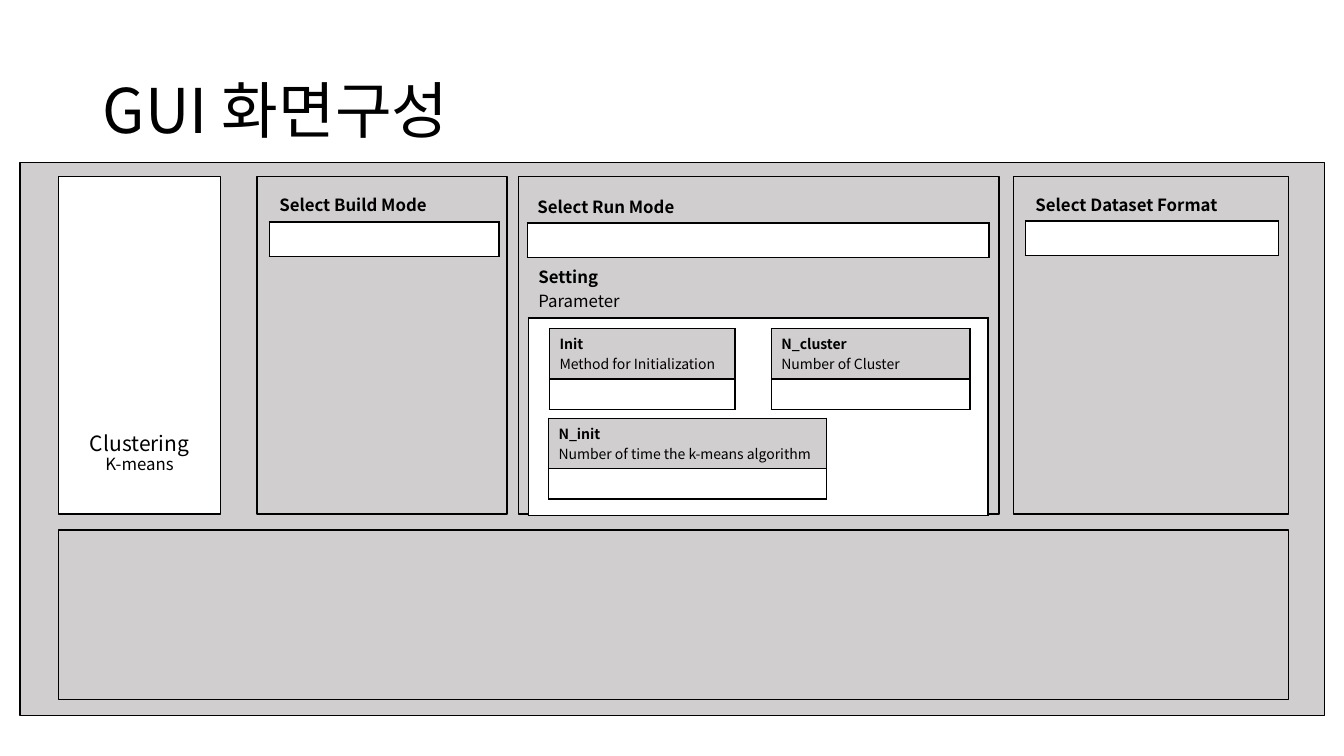
from lxml import etree
from pptx import Presentation
from pptx.dml.color import RGBColor
from pptx.enum.shapes import MSO_SHAPE
from pptx.enum.text import MSO_ANCHOR, PP_ALIGN
from pptx.oxml.ns import qn
from pptx.util import Inches, Pt

RECT = MSO_SHAPE.RECTANGLE
MIDDLE, BOTTOM = MSO_ANCHOR.MIDDLE, MSO_ANCHOR.BOTTOM
LEFT, CENTER, JUST = PP_ALIGN.LEFT, PP_ALIGN.CENTER, PP_ALIGN.JUSTIFY

FONT = "Noto Sans CJK KR"
BLACK, WHITE, GRAY = "000000", "FFFFFF", "D0CECE"
PLAIN = "{2D5ABB26-0587-4C30-8999-92F81FD0307C}"
CELL = 0.1  # inches in one column or row of the layout grid

# Panels share one top row and one height.
TOP, TALL = 17.5, 33.5
EDGE, SPAN = 5.8, 122
PANELS = [(25.5, 24.8), (51.4, 47.7), (100.5, 27.3)]

# Left, top, width, label lines
MODES = [
    (26.7, 18.6, 22.8, ["Select Build Mode"]),
    (52.3, 18.7, 45.8, ["Select Run Mode"]),
    (101.7, 18.5, 25.1, ["Select Dataset Format"]),
]
PARAMS = [
    (76.5, 32.6, 19.7, ["N_cluster", "Number of Cluster"]),
    (54.5, 32.6, 18.4, ["Init", "Method for Initialization"]),
    (54.4, 41.5, 27.6, ["N_init", "Number of time the k-means algorithm"]),
]


def grid(*cells):
    """Turn grid counts into slide lengths."""
    return [Inches(n * CELL) for n in cells]


def tint(code):
    """Make a colour from a hex string."""
    return RGBColor.from_string(code)


def paint(item, code):
    """Fill a shape or cell with one colour."""
    item.fill.solid()
    item.fill.fore_color.rgb = tint(code)


def write(para, text, size, bold=False, align=LEFT):
    """Add one styled run to a paragraph."""
    para.alignment = align
    run = para.add_run()
    run.text = text
    font = run.font
    font.size, font.bold, font.name = Pt(size), bold, FONT
    font.color.rgb = tint(BLACK)
    east = etree.SubElement(font._element, qn("a:ea"))
    east.set("typeface", FONT)


def lines(frame, count):
    """Yield the given number of paragraphs of a text frame."""
    yield frame.paragraphs[0]
    for _ in range(count - 1):
        yield frame.add_paragraph()


def box(slide, left, top, width, height, fill=GRAY):
    """Draw an outlined rectangle."""
    shape = slide.shapes.add_shape(RECT, *grid(left, top, width, height))
    shape.shadow.inherit = False
    paint(shape, fill)
    shape.line.color.rgb = tint(BLACK)
    shape.line.width = Pt(1)
    return shape


def border(cell):
    """Rule all four sides of a cell."""
    props = cell._tc.get_or_add_tcPr()
    for spot, side in enumerate(("lnL", "lnR", "lnT", "lnB")):
        line = etree.Element(qn("a:" + side), w=str(Pt(1)))
        fill = etree.SubElement(line, qn("a:solidFill"))
        etree.SubElement(fill, qn("a:srgbClr"), val=BLACK)
        props.insert(spot, line)


def field(slide, left, top, width, labels, rows, size=12, ruled=False):
    """Add a label cell with an empty input cell below it."""
    frame = slide.shapes.add_table(
        2, 1, *grid(left, top, width, sum(rows)))
    table = frame.table
    table.first_row = table.horz_banding = False
    frame._element.find(".//" + qn("a:tableStyleId")).text = PLAIN
    for row, high in zip(table.rows, grid(*rows)):
        row.height = high
    head, entry = table.cell(0, 0), table.cell(1, 0)
    paint(head, GRAY)
    paint(entry, WHITE)
    border(entry)
    if ruled:
        border(head)
    paras = lines(head.text_frame, len(labels))
    for num, (para, text) in enumerate(zip(paras, labels)):
        write(para, text, size, num == 0, JUST)
    blank = entry.text_frame.paragraphs[0]._p
    etree.SubElement(blank, qn("a:endParaRPr"), sz=str(size * 100))


def heading(slide, text):
    """Place and style the slide title."""
    title = slide.shapes.title
    title.left, title.top, title.width, title.height = grid(
        9.2, 4, 115, 14.5)
    frame = title.text_frame
    frame.vertical_anchor = MIDDLE
    para = frame.paragraphs[0]
    para.line_spacing = 0.9
    write(para, text, 44)


def method(slide):
    """Draw the white panel that names the algorithm."""
    panel = box(slide, EDGE, TOP, 16.1, TALL, WHITE)
    frame = panel.text_frame
    frame.vertical_anchor = BOTTOM
    frame.margin_bottom = Inches(0.4)
    first, second = lines(frame, 2)
    write(first, "Clustering", 15, align=CENTER)
    write(second, "K-means", 12, align=CENTER)
    second.line_spacing = 0.88


def main():
    """Build the slide and save it."""
    deck = Presentation()
    deck.slide_width, deck.slide_height = Inches(13.33), Inches(7.5)
    slide = deck.slides.add_slide(deck.slide_layouts[5])
    heading(slide, "GUI 화면구성")
    box(slide, 2, 16.1, 129.4, 54.9)
    method(slide)
    box(slide, EDGE, 52.6, SPAN, 16.8)
    for left, width in PANELS:
        box(slide, left, TOP, width, TALL)
    for mode in MODES:
        field(slide, *mode, rows=(3.4, 3.4))
    field(slide, 52.4, 25.7, 45.6, ["Setting", "Parameter"],
          rows=(5.8, 19.6))
    for param in PARAMS:
        field(slide, *param, rows=(5, 3), size=10, ruled=True)
    deck.save("out.pptx")


main()
